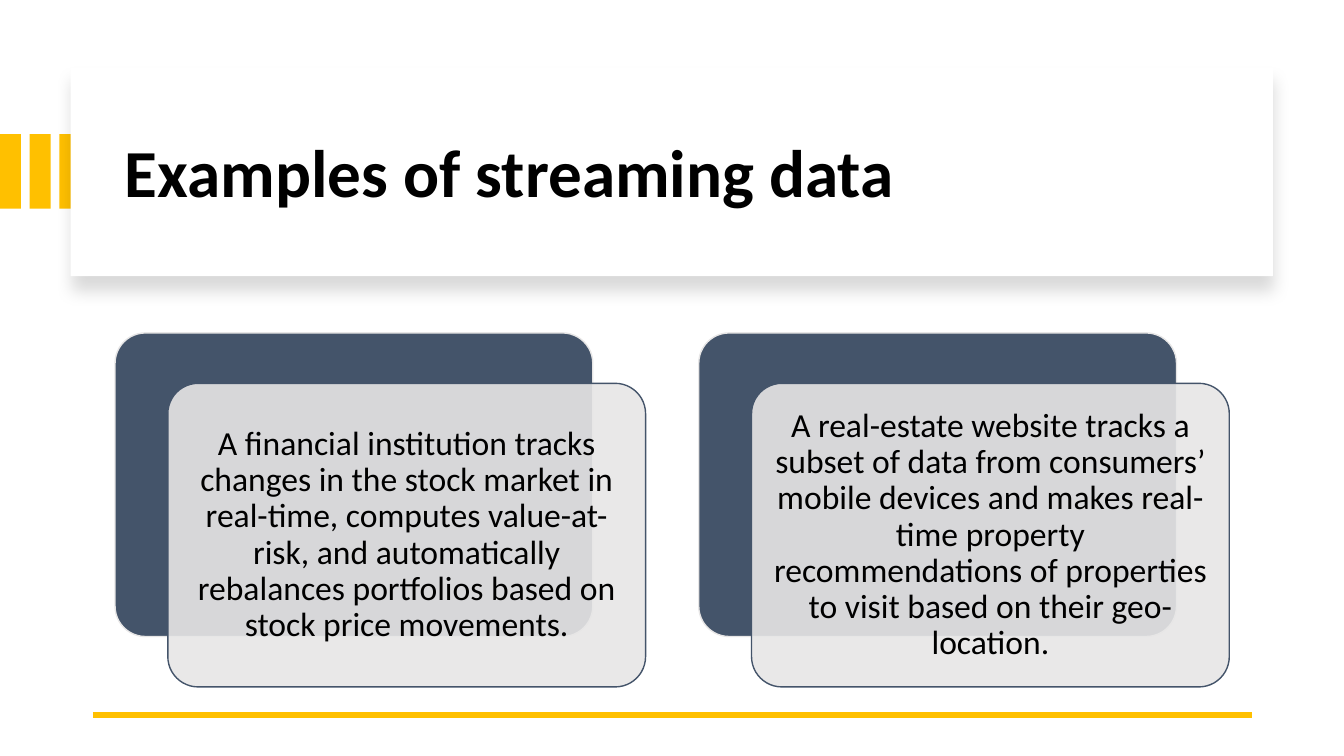
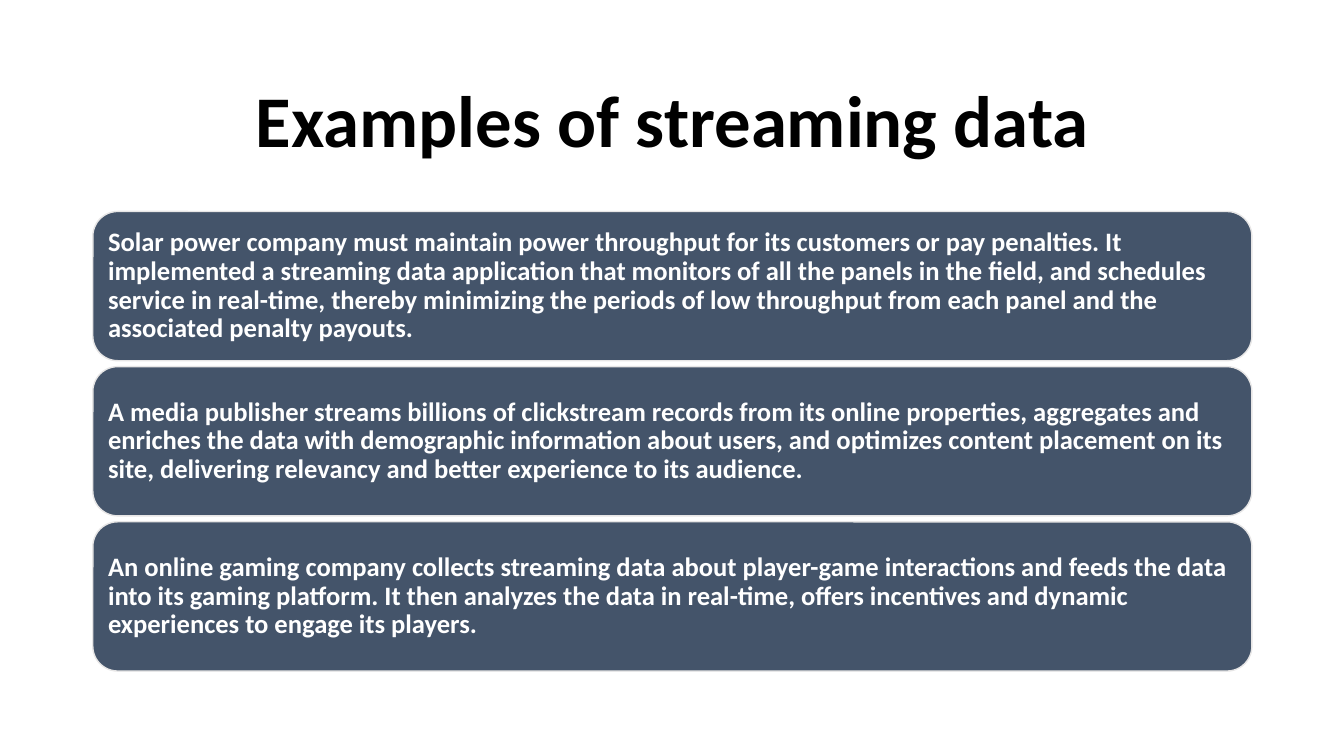
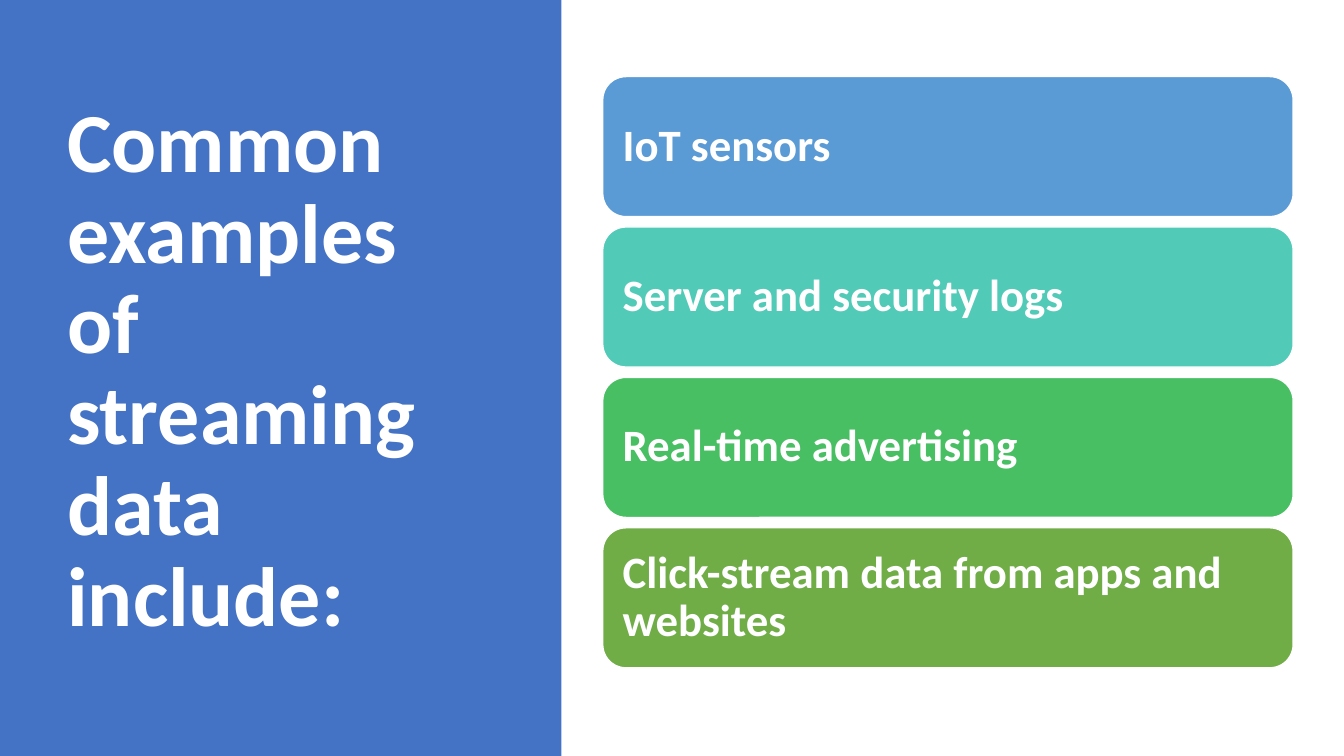
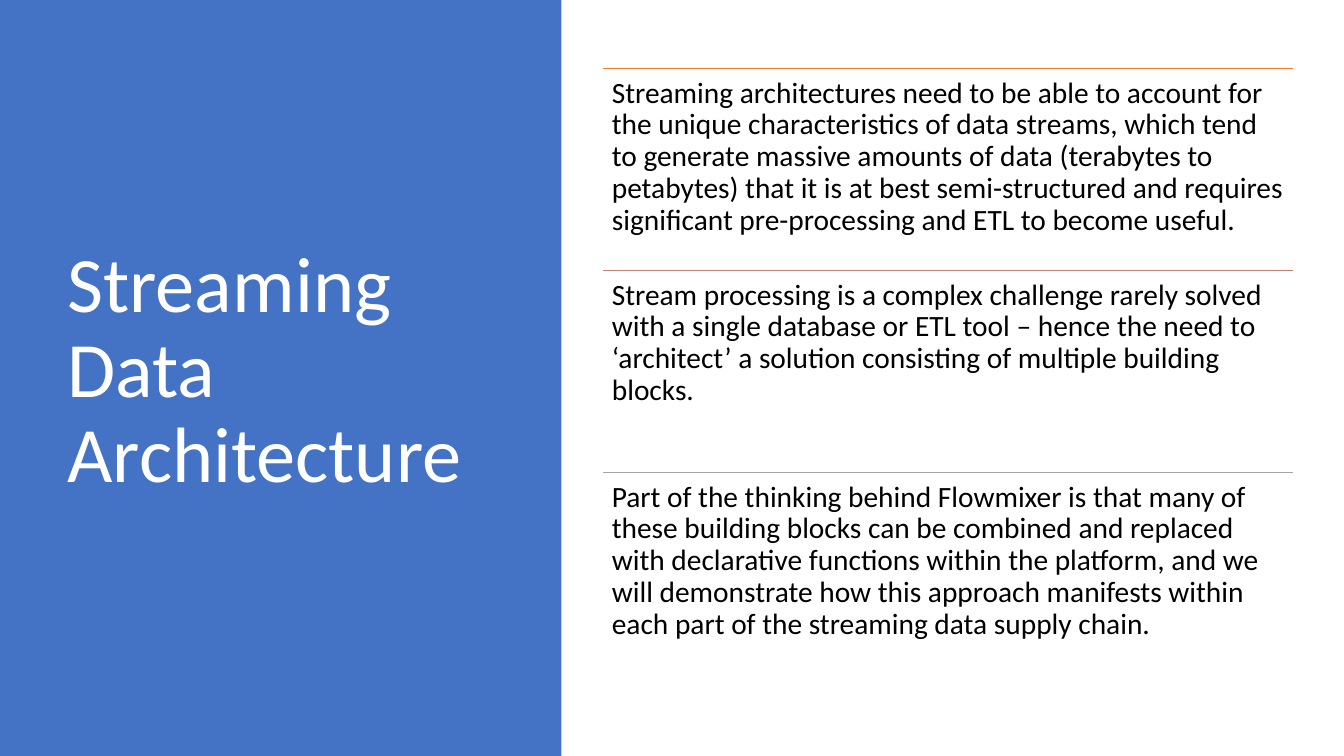
from dataclasses import dataclass
from typing import Optional

from lxml.etree import SubElement
from pptx import Presentation
from pptx.dml.color import RGBColor
from pptx.enum.shapes import MSO_CONNECTOR, MSO_SHAPE
from pptx.enum.text import MSO_ANCHOR, PP_ALIGN
from pptx.oxml.ns import qn
from pptx.shapes.autoshape import Shape
from pptx.slide import Slide
from pptx.util import Cm, Pt

FONT = "Calibri"
BLACK = RGBColor(0x00, 0x00, 0x00)
WHITE = RGBColor(0xFF, 0xFF, 0xFF)
GOLD = RGBColor(0xFF, 0xC0, 0x00)
SLATE = RGBColor(0x44, 0x54, 0x6A)
LIGHT_GRAY = RGBColor(0xE7, 0xE6, 0xE6)
GRAY = RGBColor(0xA5, 0xA5, 0xA5)
BLUE = RGBColor(0x44, 0x72, 0xC4)
SKY = RGBColor(0x5B, 0x9B, 0xD5)
TEAL = RGBColor(0x52, 0xCA, 0xB8)
GREEN = RGBColor(0x49, 0xBF, 0x64)
OLIVE = RGBColor(0x70, 0xAD, 0x47)
ORANGE = RGBColor(0xED, 0x7D, 0x31)
CLAY = RGBColor(0xC4, 0x81, 0x70)

SLIDE_W, SLIDE_H = 33.87, 19.05
RIGHT_X, RIGHT_W = 15.19, 17.4


@dataclass(frozen=True)
class Box:
    """Position and size in centimetres."""
    x: float
    y: float
    w: float
    h: float

    def moved(self, dx: float = 0, dy: float = 0) -> "Box":
        return Box(self.x + dx, self.y + dy, self.w, self.h)

    def lengths(self) -> tuple[Cm, Cm, Cm, Cm]:
        return Cm(self.x), Cm(self.y), Cm(self.w), Cm(self.h)


@dataclass(frozen=True)
class TextStyle:
    size: float
    color: RGBColor = BLACK
    bold: bool = False
    align: PP_ALIGN = PP_ALIGN.LEFT
    anchor: MSO_ANCHOR = MSO_ANCHOR.MIDDLE
    inset: Optional[float] = None


@dataclass(frozen=True)
class Item:
    text: str
    color: RGBColor


def write(shape: Shape, text: str, style: TextStyle) -> None:
    tf = shape.text_frame
    tf.word_wrap = True
    tf.vertical_anchor = style.anchor
    if style.inset is not None:
        tf.margin_left = tf.margin_right = Cm(style.inset)
        tf.margin_top = tf.margin_bottom = Cm(style.inset)
    tf.text = text
    p = tf.paragraphs[0]
    p.alignment = style.align
    p.line_spacing = 0.9
    font = p.runs[0].font
    font.name, font.size, font.bold = FONT, Pt(style.size), style.bold
    font.color.rgb = style.color


def add_text(s: Slide, box: Box, text: str, style: TextStyle) -> None:
    write(s.shapes.add_textbox(*box.lengths()), text, style)


def add_block(s: Slide, box: Box, fill: RGBColor, line: Optional[RGBColor] = None,
              kind: MSO_SHAPE = MSO_SHAPE.RECTANGLE) -> Shape:
    sp = s.shapes.add_shape(kind, *box.lengths())
    sp.shadow.inherit = False
    sp.fill.solid()
    sp.fill.fore_color.rgb = fill
    if line is None:
        sp.line.fill.background()
    else:
        sp.line.color.rgb = line
        sp.line.width = Pt(1)
    return sp


def add_card(s: Slide, box: Box, fill: RGBColor, line: RGBColor) -> Shape:
    return add_block(s, box, fill, line, MSO_SHAPE.ROUNDED_RECTANGLE)


def add_rule(s: Slide, x: float, y: float, w: float, color: RGBColor, width: float) -> None:
    rule = s.shapes.add_connector(MSO_CONNECTOR.STRAIGHT, Cm(x), Cm(y), Cm(x + w), Cm(y))
    rule.line.color.rgb = color
    rule.line.width = Pt(width)
    SubElement(rule._element.spPr, qn("a:effectLst"))


def set_opacity(sp: Shape, percent: int) -> None:
    color = sp._element.spPr.find(qn("a:solidFill"))[0]
    SubElement(color, qn("a:alpha"), val=str(percent * 1000))


def add_drop_shadow(sp: Shape) -> None:
    effects = sp._element.spPr.find(qn("a:effectLst"))
    shadow = SubElement(effects, qn("a:outerShdw"), blurRad=str(Pt(11)), dist=str(Pt(10)),
                        dir="5400000", algn="t", rotWithShape="0")
    color = SubElement(shadow, qn("a:srgbClr"), val=str(BLACK))
    SubElement(color, qn("a:alpha"), val="15000")


def add_side_title(s: Slide, text: str, size: float, bold: bool) -> None:
    add_block(s, Box(0, 0, 14.15, SLIDE_H), BLUE)
    add_text(s, Box(1.45, 1.73, 10.57, 15.29), text, TextStyle(size, WHITE, bold))


def add_card_stack(s: Slide, first: Box, pitch: float, items: list[Item],
                   line: RGBColor, style: TextStyle) -> None:
    for i, item in enumerate(items):
        write(add_card(s, first.moved(dy=i * pitch), item.color, line), item.text, style)


def build_paired_examples(s: Slide) -> None:
    for i in range(3):
        add_block(s, Box(i * 0.75, 3.38, 0.53, 1.88), GOLD)
    add_drop_shadow(add_block(s, Box(1.78, 1.7, 30.3, 5.26), WHITE))
    add_text(s, Box(2.9, 2.26, 28.27, 4.32), "Examples of streaming data",
             TextStyle(48, bold=True))
    add_rule(s, 2.34, 18.01, 29.21, GOLD, 4.5)

    texts = [
        "A financial institution tracks changes in the stock market in real-time, computes "
        "value-at-risk, and automatically rebalances portfolios based on stock price movements.",
        "A real-estate website tracks a subset of data from consumers’ mobile devices and makes "
        "real-time property recommendations of properties to visit based on their geo-location.",
    ]
    style = TextStyle(24, align=PP_ALIGN.CENTER, inset=0.25)
    for i, text in enumerate(texts):
        back = Box(2.9, 8.39, 12.04, 7.65).moved(dx=i * 14.71)
        front = back.moved(1.33, 1.27)
        back_card = add_card(s, back, SLATE, LIGHT_GRAY)
        front_card = add_card(s, front, LIGHT_GRAY, SLATE)
        for card in (back_card, front_card):
            card.adjustments[0] = 0.1
        set_opacity(front_card, 90)
        write(front_card, text, style)


def build_stacked_examples(s: Slide) -> None:
    add_text(s, Box(2.34, 1.55, 29.21, 3.15), "Examples of streaming data",
             TextStyle(52, bold=True, align=PP_ALIGN.CENTER))
    texts = [
        "Solar power company must maintain power throughput for its customers or pay penalties. "
        "It implemented a streaming data application that monitors of all the panels in the "
        "field, and schedules service in real-time, thereby minimizing the periods of low "
        "throughput from each panel and the associated penalty payouts.",
        "A media publisher streams billions of clickstream records from its online properties, "
        "aggregates and enriches the data with demographic information about users, and "
        "optimizes content placement on its site, delivering relevancy and better experience "
        "to its audience.",
        "An online gaming company collects streaming data about player-game interactions and "
        "feeds the data into its gaming platform. It then analyzes the data in real-time, "
        "offers incentives and dynamic experiences to engage its players.",
    ]
    add_card_stack(s, Box(2.34, 5.33, 29.21, 3.76), 3.91, [Item(t, SLATE) for t in texts],
                   LIGHT_GRAY, TextStyle(19, WHITE, True, inset=0.2))


def build_common_sources(s: Slide) -> None:
    add_side_title(s, "Common examples of streaming data include:", 60, True)
    items = [
        Item("IoT sensors", SKY),
        Item("Server and security logs", TEAL),
        Item("Real-time advertising", GREEN),
        Item("Click-stream data from apps and websites", OLIVE),
    ]
    add_card_stack(s, Box(RIGHT_X, 1.93, RIGHT_W, 3.53), 3.79, items, WHITE,
                   TextStyle(32, WHITE, True, inset=0.33))


def build_architecture(s: Slide) -> None:
    add_side_title(s, "Streaming Data Architecture", 56, False)
    items = [
        Item("Streaming architectures need to be able to account for the unique characteristics "
             "of data streams, which tend to generate massive amounts of data (terabytes to "
             "petabytes) that it is at best semi-structured and requires significant "
             "pre-processing and ETL to become useful.", ORANGE),
        Item("Stream processing is a complex challenge rarely solved with a single database or "
             "ETL tool – hence the need to ‘architect’ a solution consisting of multiple "
             "building blocks.", CLAY),
        Item("Part of the thinking behind Flowmixer is that many of these building blocks can be "
             "combined and replaced with declarative functions within the platform, and we will "
             "demonstrate how this approach manifests within each part of the streaming data "
             "supply chain.", GRAY),
    ]
    style = TextStyle(21, anchor=MSO_ANCHOR.TOP, inset=0.23)
    first = Box(RIGHT_X, 1.73, RIGHT_W, 5.09)
    for i, item in enumerate(items):
        box = first.moved(dy=i * first.h)
        add_rule(s, box.x, box.y, box.w, item.color, 1)
        add_text(s, box, item.text, style)


def main() -> None:
    prs = Presentation()
    prs.slide_width, prs.slide_height = Cm(SLIDE_W), Cm(SLIDE_H)
    blank = prs.slide_layouts[6]
    for build in (build_paired_examples, build_stacked_examples,
                  build_common_sources, build_architecture):
        build(prs.slides.add_slide(blank))
    prs.save("out.pptx")


if __name__ == "__main__":
    main()
